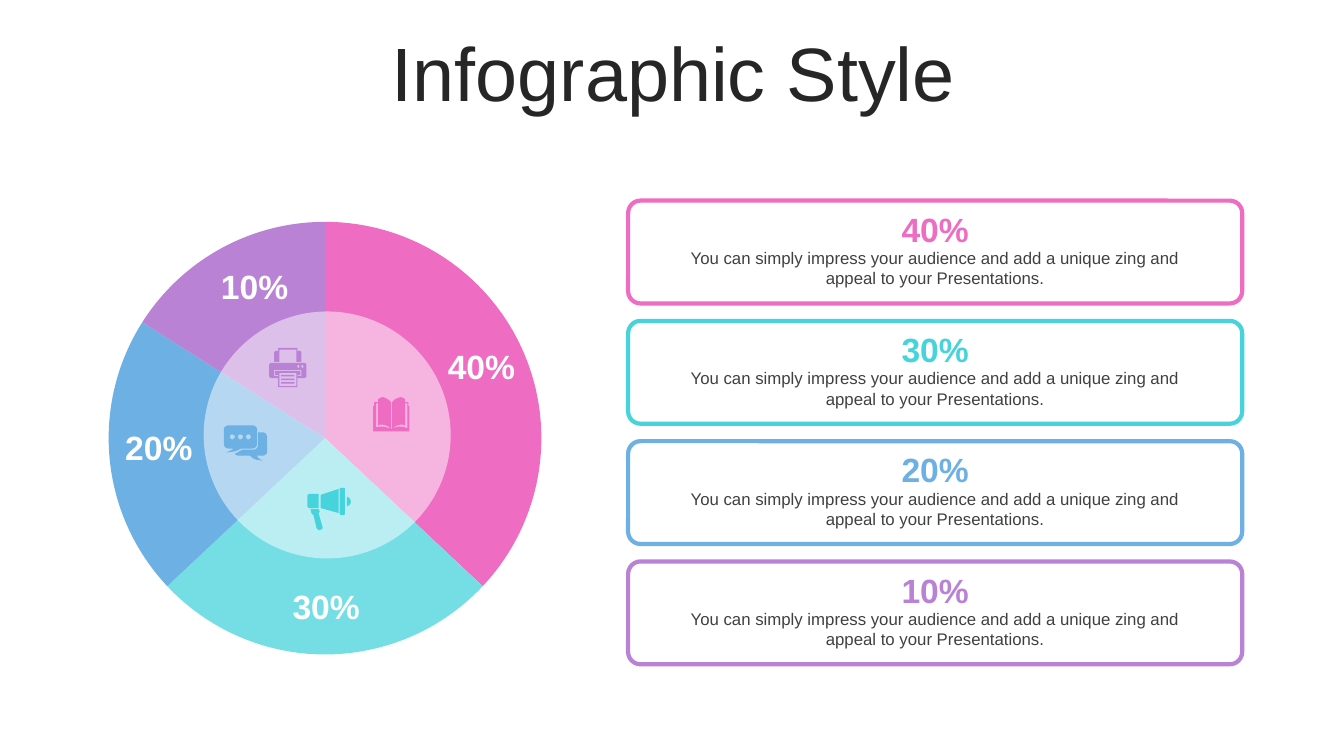
from dataclasses import dataclass

from lxml import etree
from pptx import Presentation
from pptx.chart.data import CategoryChartData
from pptx.dml.color import RGBColor
from pptx.enum import chart as ch, shapes, text
from pptx.oxml import ns
from pptx.util import Inches, Pt

PINK = RGBColor(0xEE, 0x6C, 0xC1)
TEAL = RGBColor(0x47, 0xD3, 0xDC)
LIGHT_TEAL = RGBColor(0x75, 0xDE, 0xE5)
BLUE = RGBColor(0x6D, 0xB0, 0xE4)
PURPLE = RGBColor(0xB9, 0x82, 0xD5)
WHITE = RGBColor(0xFF, 0xFF, 0xFF)
DARK = RGBColor(0x26, 0x26, 0x26)
GREY = RGBColor(0x40, 0x40, 0x40)

FONT = "Arial"
MESSAGE = ("You can simply impress your audience and add a unique zing "
           "and appeal to your Presentations.")
CARD_LEFT, CARD_WIDTH, CARD_HEIGHT = 6.23, 6.09, 1.02
FIRST_CARD, LAST_CARD = 1.99, 5.57
LABEL_WIDTH, MESSAGE_WIDTH, TEXT_HEIGHT = 0.95, 5.53, 0.5
CURVE_STEPS = 6

# Icon outlines, one contour a string, in hundredths of an inch on the slide.
# C marks a Bezier curve: two control points and an end point.
BOOK = [
    "388,425 C388,425 389,426 389,425 C395,423 398,422 404,425 404,400 402,400 "
    "C402,408 402,415 402,422 C398,420 393,422 389,425 389,399 "
    "C391,396 394,395 397,394 C399,394 400,395 402,396 C402,397 402,398 402,399 "
    "405,399 405,403 406,403 406,428 370,428 370,403 371,403 371,399 375,399 "
    "C375,398 375,397 375,396 C377,395 378,394 380,394 C383,395 385,396 388,399 "
    "388,425 C384,422 379,420 375,422 375,400 373,400 373,424 "
    "C379,422 382,424 388,425",
]
MEGAPHONE = [
    "316,505 317,507 C317,508 317,508 316,509 320,523 C320,524 320,525 319,525 "
    "317,526 C316,526 315,525 314,524 311,511 C310,510 309,510 309,509 308,505",
    "344,493 C346,493 348,495 348,498 C348,500 346,502 344,502 "
    "C344,499 344,496 344,493",
    "307,490 316,490 316,504 307,504 C306,504 305,503 305,502 305,492 "
    "C305,491 306,490 307,490",
    "336,485 336,509 318,504 318,491",
    "338,484 341,484 C342,484 342,484 342,485 342,510 C342,510 342,511 341,511 "
    "338,511 C338,511 337,510 337,510 337,485 C337,484 338,484 338,484",
]
CHAT = [
    *(f"{x},431 C{x - 1},431 {x - 2},432 {x - 2},433 "
      f"C{x - 2},434 {x - 1},436 {x},436 C{x + 2},436 {x + 3},434 {x + 3},433 "
      f"C{x + 3},432 {x + 2},431 {x},431" for x in (246, 238, 230)),
    "256,429 261,429 C263,429 265,431 265,434 265,448 C265,450 263,452 261,452 "
    "255,452 C256,454 256,455 261,457 C253,456 252,456 248,452 237,452 "
    "C235,452 233,451 233,450 C236,449 238,447 241,446 252,446 "
    "C254,446 256,444 256,441",
    "227,422 250,422 C253,422 255,424 255,426 255,440 C255,443 253,445 250,445 "
    "239,445 C234,448 232,448 224,449 C229,447 229,447 232,445 227,445 "
    "C224,445 222,443 222,440 222,426 C222,424 224,422 227,422",
]
PRINTER = [
    *(f"279,{y} 292,{y} 292,{y + 1.5} 279,{y + 1.5}" for y in (372, 375.5, 379)),
    "277,370 277,383 294,383 294,370",
    "272,367 272,373 276,373 276,372 273,372 273,368 298,368 298,372 295,372 "
    "295,373 299,373 299,367",
    *(f"{x},362 C{x - 1},362 {x - 1},363 {x - 1},363 C{x - 1},364 {x - 1},365 {x},365 "
      f"C{x + 1},365 {x + 1},364 {x + 1},363 C{x + 1},363 {x + 1},362 {x},362"
      for x in (296, 300)),
    "269,360 302,360 C303,360 304,361 304,363 304,373 C304,374 303,375 302,375 "
    "295,375 295,384 276,384 276,375 269,375 C268,375 267,374 267,373 267,363 "
    "C267,361 268,360 269,360",
    "276,345 295,345 295,348 297,348 C298,348 299,349 299,350 299,359 294,359 "
    "294,347 277,347 277,359 272,359 272,350 C272,349 273,348 274,348 276,348",
]


@dataclass(frozen=True)
class Share:
    label: str
    value: int
    color: RGBColor
    slice_color: RGBColor
    label_left: float
    label_top: float
    icon: list[str]


SHARES = [
    Share("40%", 37, PINK, PINK, 4.3, 3.38, BOOK),
    Share("30%", 26, TEAL, LIGHT_TEAL, 2.76, 5.76, MEGAPHONE),
    Share("20%", 21, BLUE, BLUE, 1.1, 4.19, CHAT),
    Share("10%", 16, PURPLE, PURPLE, 2.05, 2.59, PRINTER),
]


def set_font(font, size: float, color: RGBColor, bold: bool = False) -> None:
    for name, value in {"name": FONT, "size": Pt(size), "bold": bold}.items():
        setattr(font, name, value)
    font.color.rgb = color


def add_text(s, words: str, left: float, top: float, width: float, size: float,
             color: RGBColor, bold: bool = False,
             anchor=text.MSO_ANCHOR.MIDDLE) -> None:
    box = s.shapes.add_textbox(*map(Inches, (left, top, width, TEXT_HEIGHT)))
    tf = box.text_frame
    for name, value in {"word_wrap": True, "vertical_anchor": anchor,
                        "auto_size": text.MSO_AUTO_SIZE.SHAPE_TO_FIT_TEXT}.items():
        setattr(tf, name, value)
    p = tf.paragraphs[0]
    p.alignment = text.PP_ALIGN.CENTER
    r = p.add_run()
    r.text = words
    set_font(r.font, size, color, bold)


def add_title(s, words: str) -> None:
    title = s.shapes.title
    places = {"left": 0.35, "top": 0.37, "width": 12.66, "height": 0.79}
    for name, value in places.items():
        setattr(title, name, Inches(value))
    tf = title.text_frame
    tf.text = words
    tf.vertical_anchor = text.MSO_ANCHOR.MIDDLE
    tf.auto_size = text.MSO_AUTO_SIZE.NONE
    p = tf.paragraphs[0]
    p.alignment, p.line_spacing = text.PP_ALIGN.CENTER, 0.9
    set_font(p.runs[0].font, 54, DARK)


def add_pie(s) -> None:
    data = CategoryChartData()
    data.categories = [str(i) for i in range(1, len(SHARES) + 1)]
    data.add_series("Series 1", [share.value for share in SHARES])
    chart = s.shapes.add_chart(ch.XL_CHART_TYPE.PIE, *map(Inches, (0.72, 1.91, 5.11, 4.78)),
                               data).chart
    chart.has_legend = chart.has_title = False
    set_font(chart.font, 18, RGBColor(0, 0, 0))
    plot = chart.plots[0]
    plot.vary_by_categories = True
    for i, share in enumerate(SHARES):
        point_format = plot.series[0].points[i].format
        point_format.fill.solid()
        point_format.fill.fore_color.rgb = share.slice_color
        point_format.line.fill.background()
    area = chart.element.find(".//" + ns.qn("c:plotArea"))
    for old in area.findall(ns.qn("c:layout")):
        area.remove(old)
    layout = etree.Element(ns.qn("c:layout"))
    manual = etree.SubElement(layout, ns.qn("c:manualLayout"))
    for tag, value in {"layoutTarget": "inner", "xMode": "edge", "yMode": "edge",
                       "x": "0.07", "y": "0.06", "w": "0.84", "h": "0.9"}.items():
        etree.SubElement(manual, ns.qn("c:" + tag)).set("val", value)
    area.insert(0, layout)


def add_white_shape(s, kind, left: float, top: float, width: float, height: float):
    sp = s.shapes.add_shape(kind, *map(Inches, (left, top, width, height)))
    sp.shadow.inherit = False
    sp.fill.solid()
    sp.fill.fore_color.rgb = WHITE
    sp.line.fill.background()
    return sp


def add_card(s, share: Share, top: float) -> None:
    card = add_white_shape(s, shapes.MSO_SHAPE.ROUNDED_RECTANGLE,
                           CARD_LEFT, top, CARD_WIDTH, CARD_HEIGHT)
    card.adjustments[0] = 0.12
    card.line.color.rgb, card.line.width = share.color, Pt(3)
    center = CARD_LEFT + CARD_WIDTH / 2
    add_text(s, share.label, center - LABEL_WIDTH / 2, top + 0.03, LABEL_WIDTH,
             24, share.color, True)
    add_text(s, MESSAGE, center - MESSAGE_WIDTH / 2, top + 0.42, MESSAGE_WIDTH,
             12, GREY, anchor=text.MSO_ANCHOR.TOP)


def flatten(contour: str) -> list[tuple[float, float]]:
    """Turn a contour into points in EMU, with its curves cut into short lines."""
    tokens = contour.split()
    nodes = [tuple(float(n) * Inches(0.01) for n in t.lstrip("C").split(","))
             for t in tokens]
    points, i = [], 0
    while i < len(nodes):
        if tokens[i].startswith("C"):
            curve = [points[-1], *nodes[i:i + 3]]
            for t in (step / CURVE_STEPS for step in range(1, CURVE_STEPS + 1)):
                weights = ((1 - t) ** 3, 3 * t * (1 - t) ** 2, 3 * t * t * (1 - t), t ** 3)
                points.append(tuple(sum(w * n[axis] for w, n in zip(weights, curve))
                                    for axis in (0, 1)))
            i += 3
        else:
            points.append(nodes[i])
            i += 1
    return points


def add_icon(s, share: Share) -> None:
    outlines = [flatten(contour) for contour in share.icon]
    builder = s.shapes.build_freeform(*outlines[0][0])
    for i, points in enumerate(outlines):
        if i:
            builder.move_to(*points[0])
        builder.add_line_segments(points[1:], close=True)
    icon = builder.convert_to_shape()
    icon.shadow.inherit = False
    icon.fill.solid()
    icon.fill.fore_color.rgb = share.color
    icon.line.fill.background()


def main() -> None:
    prs = Presentation()
    prs.slide_width, prs.slide_height = Inches(13.33), Inches(7.5)
    s = prs.slides.add_slide(prs.slide_layouts[5])
    add_title(s, "Infographic Style")
    add_pie(s)
    hub = add_white_shape(s, shapes.MSO_SHAPE.OVAL, 2.02, 3.09, 2.45, 2.45)
    color = hub.fill._xPr.find(".//" + ns.qn("a:srgbClr"))
    etree.SubElement(color, ns.qn("a:alpha")).set("val", "50000")
    pitch = (LAST_CARD - FIRST_CARD) / (len(SHARES) - 1)
    for i, share in enumerate(SHARES):
        add_text(s, share.label, share.label_left, share.label_top, LABEL_WIDTH,
                 24, WHITE, True)
        add_card(s, share, FIRST_CARD + i * pitch)
        add_icon(s, share)
    prs.save("out.pptx")


if __name__ == "__main__":
    main()
